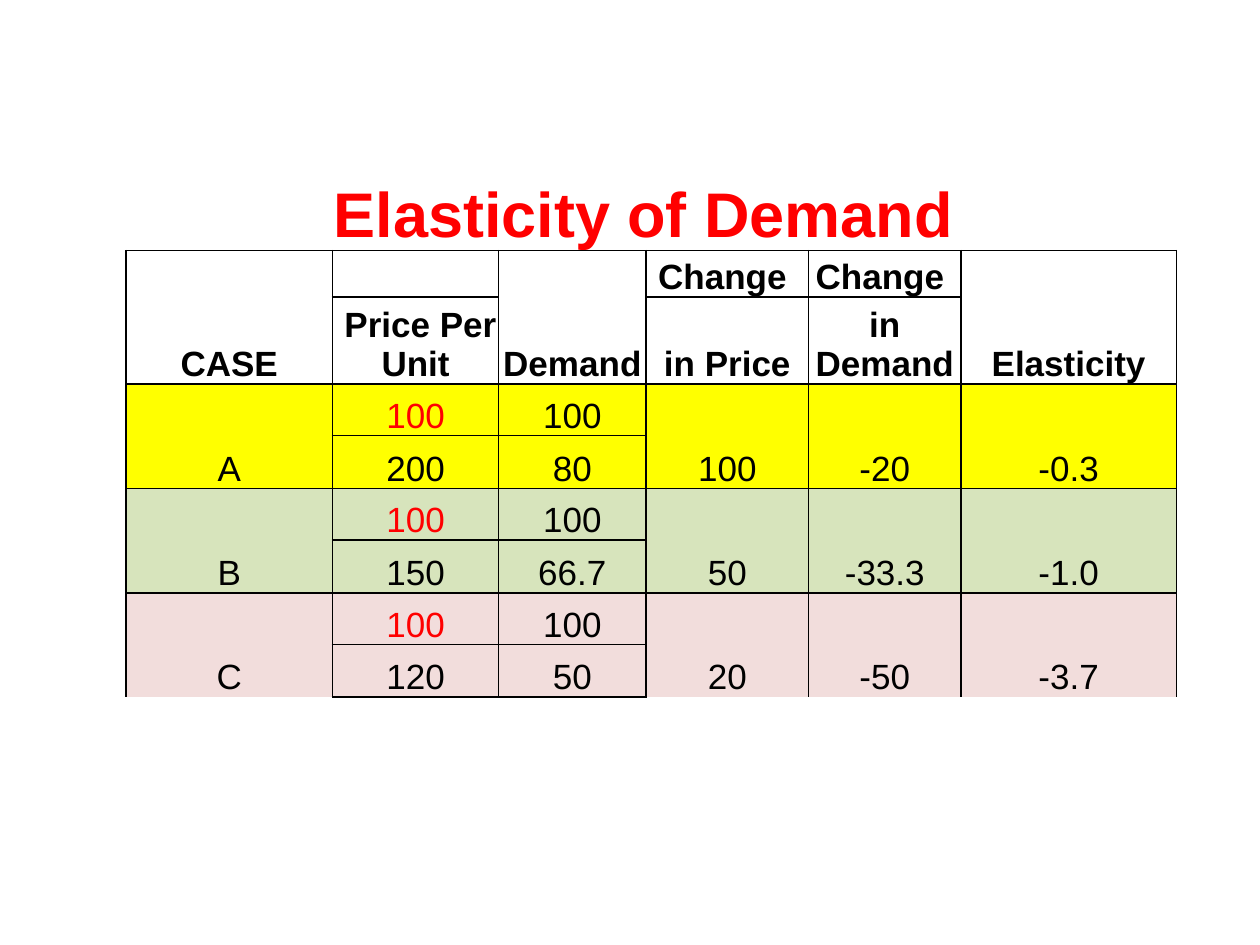
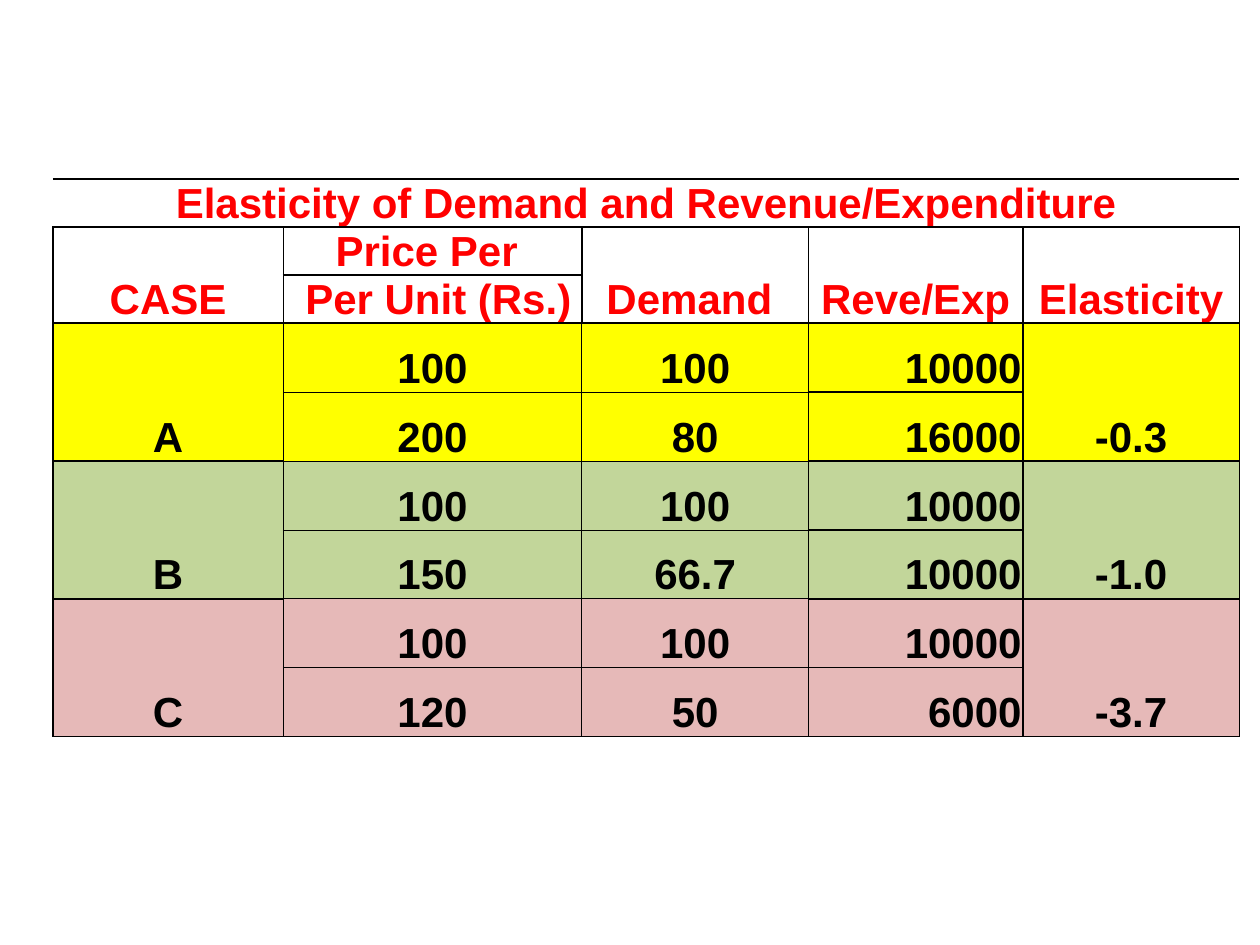
from dataclasses import dataclass

from lxml import etree
from pptx import Presentation
from pptx.dml.color import RGBColor
from pptx.enum import text
from pptx.oxml import ns
from pptx.util import Pt

CENTER, LEFT, RIGHT = text.PP_ALIGN.CENTER, text.PP_ALIGN.LEFT, text.PP_ALIGN.RIGHT


@dataclass(frozen=True)
class Theme:
    font: str = "Arial"
    ink: str = "000000"
    red: str = "FF0000"
    light_fills: tuple = ("FFFF00", "D7E4BC", "F2DDDC")
    strong_fills: tuple = ("FFFF00", "C2D69A", "E6B9B8")
    title: int = 36
    large: int = 24
    body: int = 20
    line: float = 1
    thin_line: float = 0.5
    inset: float = 0.72
    no_style: str = "{2D5ABB26-0587-4C30-8999-92F81FD0307C}"


class Deck:
    """Holds the theme, the current slide and its table."""

    def __init__(self, theme):
        self.theme = theme
        self.prs = Presentation()
        self.prs.slide_width, self.prs.slide_height = Pt(720), Pt(540)

    def slide(self):
        self.s = self.prs.slides.add_slide(self.prs.slide_layouts[6])

    def table(self, left, top, cols, rows):
        gf = self.s.shapes.add_table(len(rows), len(cols), Pt(left), Pt(top),
                                     Pt(sum(cols)), Pt(sum(rows)))
        self.tbl = gf.table
        self.tbl.first_row = self.tbl.horz_banding = False
        self.tbl._tbl.tblPr.find(ns.qn("a:tableStyleId")).text = self.theme.no_style
        for col, width in zip(self.tbl.columns, cols):
            col.width = Pt(width)
        for row, height in zip(self.tbl.rows, rows):
            row.height = Pt(height)

    def border(self, cell, side, width):
        tcPr = cell._tc.get_or_add_tcPr()
        ln = etree.SubElement(tcPr, ns.qn(f"a:ln{side}"), w=str(int(Pt(width))))
        fill = etree.SubElement(ln, ns.qn("a:solidFill"))
        etree.SubElement(fill, ns.qn("a:srgbClr"), val=self.theme.ink)

    def cell(self, row, col, words="", span=(1, 1), fill=None, edges="LRTB", thin="",
             size=None, color=None, bold=True, align=CENTER):
        """Edges names the ruled sides; thin names those with the thin line."""
        t = self.theme
        last_row, last_col = row + span[0] - 1, col + span[1] - 1
        first = self.tbl.cell(row, col)
        if span != (1, 1):
            first.merge(self.tbl.cell(last_row, last_col))

        # Outline and fill of the whole span
        for i in range(row, last_row + 1):
            for j in range(col, last_col + 1):
                cell = self.tbl.cell(i, j)
                outer = {"L": j == col, "R": j == last_col, "T": i == row, "B": i == last_row}
                for side in "LRTB":
                    if side in edges and outer[side]:
                        self.border(cell, side, t.thin_line if side in thin else t.line)
                if fill:
                    cell.fill.solid()
                    cell.fill.fore_color.rgb = RGBColor.from_string(fill)
                else:
                    cell.fill.background()

        # Text
        first.margin_left = first.margin_right = first.margin_top = Pt(t.inset)
        first.margin_bottom = 0
        first.vertical_anchor = text.MSO_ANCHOR.BOTTOM
        if words:
            p = first.text_frame.paragraphs[0]
            p.add_run().text = words
            p.alignment = align
            p.font.name, p.font.size, p.font.bold = t.font, Pt(size or t.body), bold
            p.font.color.rgb = RGBColor.from_string(color or t.ink)


# Case, new price, new demand, elasticity; price and demand both start at 100
CASES = [("A", 200, "80", "-0.3"), ("B", 150, "66.7", "-1.0"), ("C", 120, "50", "-3.7")]
START = 100


def elasticity_slide(deck):
    t = deck.theme
    deck.slide()
    deck.table(72, 102.2, [59, 59, 95, 84.2, 92.9, 87.1, 123.1],
               [26.6, 26.6, 49.6] + [29.5, 30.2] * len(CASES))

    # Title row
    for col in (0, 1):
        deck.cell(0, col, edges="B")
    deck.cell(0, 2, "Elasticity of Demand", span=(1, 5), edges="B",
              size=t.title, color=t.red, align=LEFT)

    # Column heads
    deck.cell(1, 0, "CASE", span=(2, 2))
    deck.cell(1, 2)
    deck.cell(2, 2, " Price Per Unit")
    deck.cell(1, 3, "Demand ", span=(2, 1))
    for col, lower in ((4, "in Price"), (5, "in Demand")):
        deck.cell(1, col, "Change ", edges="LRT")
        deck.cell(2, col, lower, edges="LRB")
    deck.cell(1, 6, "Elasticity", span=(2, 1))

    # Two rows for each case
    for i, ((name, price, demand, elasticity), fill) in enumerate(zip(CASES, t.light_fills)):
        row = 3 + 2 * i
        style = dict(fill=fill, bold=False)
        deck.cell(row, 0, name, span=(2, 2), **style)
        for col, end, color in ((2, price, t.red), (3, demand, t.ink)):
            deck.cell(row, col, str(START), edges="LRT", color=color, **style)
            deck.cell(row + 1, col, str(end), edges="LRB", **style)
        changes = (str(price - START), f"{float(demand) - START:.3g}", elasticity)
        for col, value in enumerate(changes, 4):
            deck.cell(row, col, value, span=(2, 1), **style)


def revenue_slide(deck):
    t = deck.theme
    deck.slide()
    deck.table(30.2, 102.2, [83.5, 48.2, 170.6, 129.6, 122.4, 123.8],
               [26, 26.6, 26.6] + [39.4] * 2 * len(CASES) + [26.6])

    # Title row and column heads
    head = dict(size=t.large, color=t.red)
    deck.cell(0, 0, "Elasticity of Demand and Revenue/Expenditure", span=(1, 6),
              edges="TB", **head)
    deck.cell(1, 0, "CASE", span=(2, 2), **head)
    deck.cell(1, 2, "Price Per ", edges="LRT", **head)
    deck.cell(2, 2, " Per Unit (Rs.)", edges="LRB", **head)
    deck.cell(1, 3, "Demand ", span=(2, 1), thin="B", **head)
    deck.cell(1, 4, "Reve/Exp", span=(2, 1), **head)
    deck.cell(1, 5, "Elasticity", span=(2, 1), **head)

    # Two rows for each case
    last = 2 + 2 * len(CASES)
    for i, ((name, price, demand, elasticity), fill) in enumerate(zip(CASES, t.strong_fills)):
        top = 3 + 2 * i
        style = dict(fill=fill, size=t.large)
        deck.cell(top, 0, name, span=(2, 2), thin="R", **style)
        revenue = round(price * float(demand), -3)
        pairs = ((START, START, START * START), (price, demand, revenue))
        for row, (p, d, r) in enumerate(pairs, top):
            deck.cell(row, 2, str(p), thin="LRB" if row == 3 else "LRTB", **style)
            deck.cell(row, 3, str(d), thin="LTB", **style)
            deck.cell(row, 4, f"{r:.0f}", thin="B" if row == last else "",
                      align=RIGHT, **style)
        deck.cell(top, 5, elasticity, span=(2, 1), **style)

    # Closing row, ruled above only
    for col in range(6):
        deck.cell(last + 1, col, edges="T", thin="T" if col in (2, 3, 4) else "")


def main():
    deck = Deck(Theme())
    elasticity_slide(deck)
    revenue_slide(deck)
    deck.prs.save("out.pptx")


if __name__ == "__main__":
    main()
